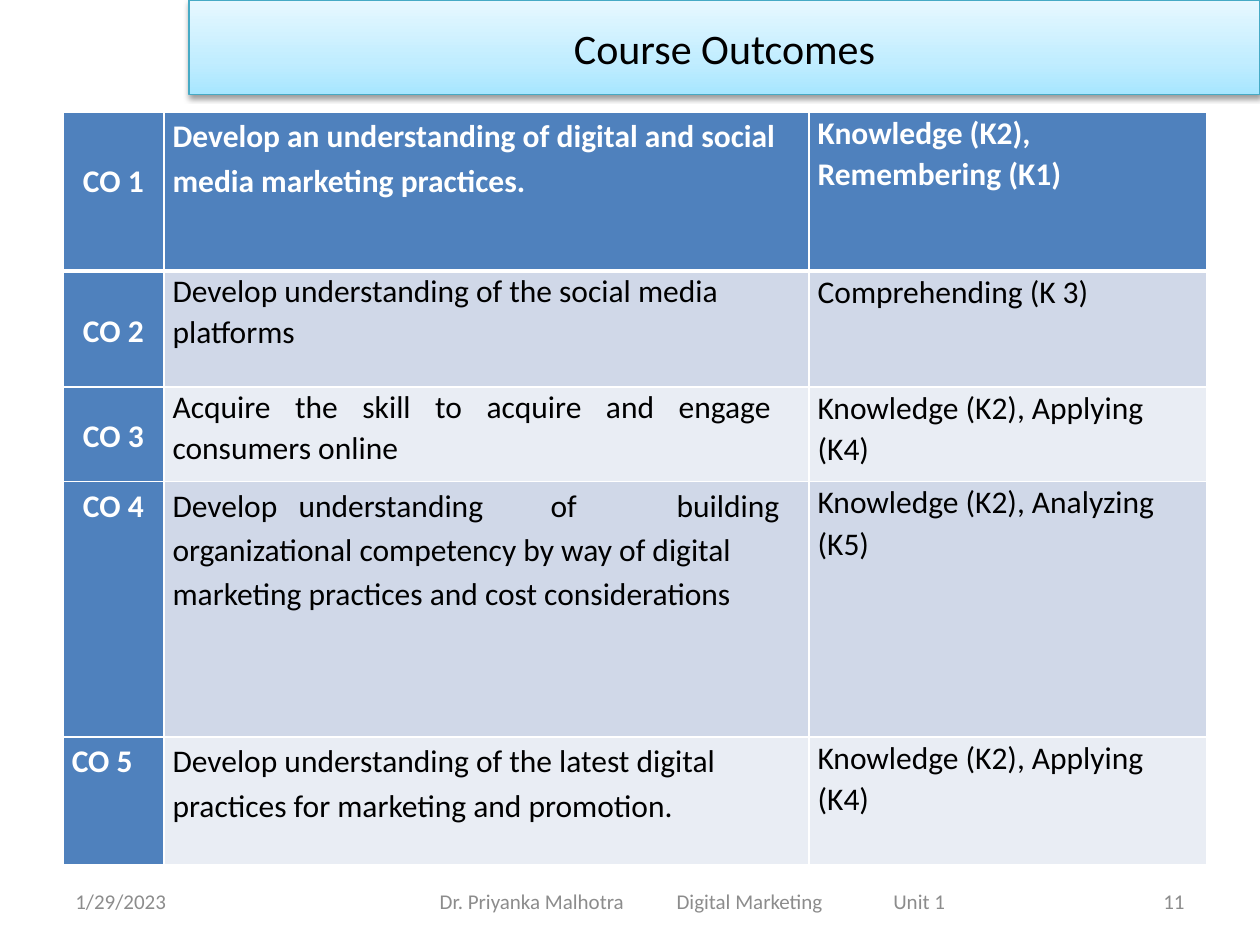
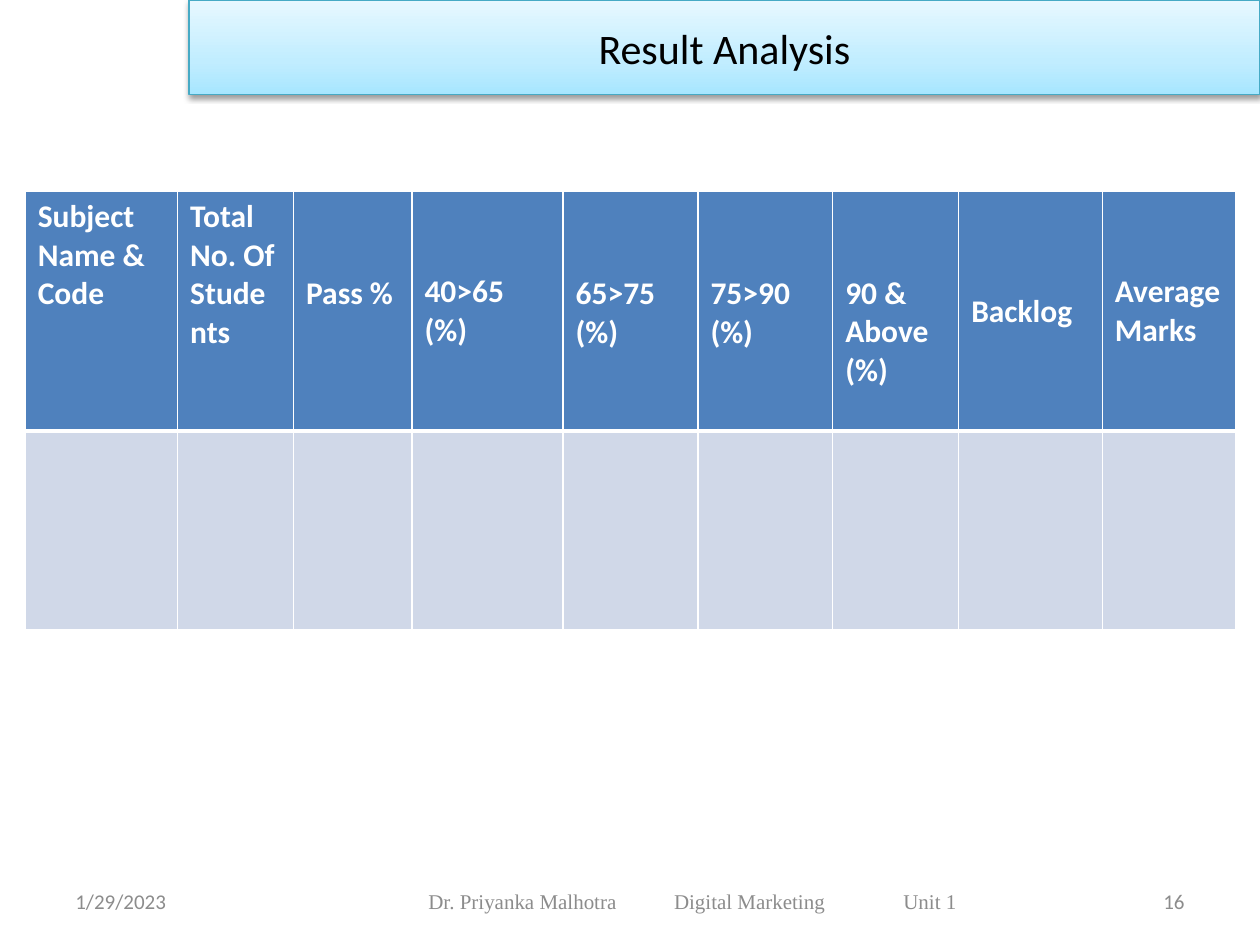
from dataclasses import dataclass
from typing import Any

from lxml.etree import SubElement
from pptx import Presentation
from pptx.dml.color import RGBColor
from pptx.enum.text import MSO_ANCHOR, PP_ALIGN
from pptx.oxml.ns import qn
from pptx.util import Pt

SCALE = 9144
COLORS = {
    "ink": "000000", "white": "FFFFFF", "grey": "8C8C8C", "edge": "46AAC5",
    "head": "4F81BD", "dark": "D0D8E8", "light": "E9EDF4",
    "low": "A7E6FF", "mid": "C1EDFF", "top": "E7F8FF",
}
LEFT, CENTER, RIGHT = PP_ALIGN.LEFT, PP_ALIGN.CENTER, PP_ALIGN.RIGHT
TOP, MIDDLE = MSO_ANCHOR.TOP, MSO_ANCHOR.MIDDLE


@dataclass(frozen=True)
class Item:
    """Text of one table cell with its layout."""
    text: str = ""
    align: PP_ALIGN = LEFT
    anchor: MSO_ANCHOR = TOP
    space: float = 1.0
    pad: tuple[int, int, int, int] = (10, 5, 10, 5)
    tabs: tuple[int, ...] = ()


@dataclass(frozen=True)
class Grid:
    """Table with its place, column widths and row heights."""
    left: int
    top: int
    cols: tuple[int, ...]
    rows: tuple[int, ...]
    items: list[list[Item]]
    side: bool


@dataclass(frozen=True)
class Foot:
    """Footer values that vary between slides."""
    number: str
    font: str
    start: int
    tabs: tuple[int, ...]


def px(size: int) -> int:
    """Turn px into EMU."""
    return size * SCALE


def tint(name: str) -> RGBColor:
    """Give the named colour."""
    return RGBColor.from_string(COLORS[name])


def assign(target: Any, values: dict[str, Any]) -> None:
    """Set every attribute in a dict."""
    for name, value in values.items():
        setattr(target, name, value)


def write(frame: Any, text: str, size: int, color: str, align: PP_ALIGN = LEFT,
          bold: bool = False, font: str = "Calibri", space: float = 1.0,
          tabs: tuple[int, ...] = ()) -> None:
    """Fill a text frame with styled text."""
    frame.text = text
    for line in frame.paragraphs:
        if tabs:
            stops = SubElement(line._p.get_or_add_pPr(), qn("a:tabLst"))
            for stop in tabs:
                SubElement(stops, qn("a:tab"), pos=str(px(stop)), algn="l")
        assign(line, {"alignment": align, "line_spacing": space})
        for run in line.runs:
            assign(run.font, {"name": font, "size": Pt(size), "bold": bold})
            run.font.color.rgb = tint(color)


def draw_title(slide: Any, text: str) -> None:
    """Format the title as the shaded band."""
    band = slide.shapes.title
    assign(band, {"left": px(150), "top": 0, "width": px(850), "height": px(75)})
    band.fill.gradient()
    band.fill.gradient_angle = 90
    stops = band._element.spPr.find(qn("a:gradFill")).find(qn("a:gsLst"))
    stops.clear()
    for place, name in ((0, "low"), (35, "mid"), (100, "top")):
        stop = SubElement(stops, qn("a:gs"), pos=str(place * 1000))
        SubElement(stop, qn("a:srgbClr"), val=COLORS[name])
    band.line.color.rgb = tint("edge")
    band.line.width = Pt(0.75)
    effect = SubElement(band._element.spPr, qn("a:effectLst"))
    shade = SubElement(effect, qn("a:outerShdw"), blurRad="40000", dist="20000",
                       dir="5400000", rotWithShape="0")
    color = SubElement(shade, qn("a:srgbClr"), val=COLORS["ink"])
    SubElement(color, qn("a:alpha"), val="38000")
    band.text_frame.vertical_anchor = MIDDLE
    write(band.text_frame, text, 24, "ink", CENTER)


def draw_foot(slide: Any, foot: Foot) -> None:
    """Draw date, course line and slide number."""
    course = "Dr. Priyanka Malhotra\tDigital Marketing\tUnit 1"
    parts = (
        (50, 233, "1/29/2023", LEFT, "Calibri", 10, ()),
        (275, 550, course, LEFT, foot.font, foot.start, foot.tabs),
        (717, 233, foot.number, RIGHT, "Calibri", 10, ()),
    )
    for left, width, text, align, font, start, tabs in parts:
        box = slide.shapes.add_textbox(px(left), px(695), px(width), px(40))
        assign(box.text_frame, {"word_wrap": True, "vertical_anchor": MIDDLE,
                                "margin_left": px(start)})
        write(box.text_frame, text, 12, "grey", align, font=font, tabs=tabs)


def draw_edge(cell: Any, row: int) -> None:
    """Draw white cell borders, thick below the first row."""
    widths = {"L": 1, "R": 1, "T": 3 if row == 1 else 1, "B": 3 if row == 0 else 1}
    for side, width in widths.items():
        line = SubElement(cell._tc.get_or_add_tcPr(), qn(f"a:ln{side}"),
                          w=str(Pt(width)))
        fill = SubElement(line, qn("a:solidFill"))
        SubElement(fill, qn("a:srgbClr"), val=COLORS["white"])


def draw_cell(cell: Any, item: Item, row: int, head: bool) -> None:
    """Draw one table cell."""
    draw_edge(cell, row)
    cell.fill.solid()
    cell.fill.fore_color.rgb = tint("head" if head else "dark" if row % 2 else "light")
    sides = ("margin_left", "margin_top", "margin_right", "margin_bottom")
    assign(cell, dict(zip(sides, map(px, item.pad))))
    cell.vertical_anchor = item.anchor
    write(cell.text_frame, item.text, 18, "white" if head else "ink", item.align,
          head, space=item.space, tabs=item.tabs)


def draw_grid(slide: Any, grid: Grid) -> None:
    """Draw a table."""
    table = slide.shapes.add_table(
        len(grid.rows), len(grid.cols), px(grid.left), px(grid.top),
        px(sum(grid.cols)), px(sum(grid.rows))).table
    assign(table, {"horz_banding": False, "first_row": True})
    for column, width in zip(table.columns, grid.cols):
        column.width = px(width)
    for line, height in zip(table.rows, grid.rows):
        line.height = px(height)
    for row, items in enumerate(grid.items):
        for col, item in enumerate(items):
            head = row == 0 or (grid.side and col == 0)
            draw_cell(table.cell(row, col), item, row, head)


SLIM = (7, 0, 7, 0)


def code(text: str, anchor: MSO_ANCHOR = TOP, align: PP_ALIGN = CENTER,
         top: int = 0) -> Item:
    """Make an outcome code cell."""
    return Item(text, align, anchor, 1.15, (7, top, 7, 0))


def goal(text: str, space: float = 1.15, align: PP_ALIGN = LEFT, right: int = 7,
         tabs: tuple[int, ...] = ()) -> Item:
    """Make an outcome cell."""
    return Item(text, align, TOP, space, (7, 0, right, 0), tabs)


def level(text: str) -> Item:
    """Make a knowledge level cell."""
    return Item(text, space=1.07, pad=SLIM)


def mark(text: str, anchor: MSO_ANCHOR = MIDDLE, top: int = 5) -> Item:
    """Make a result heading cell."""
    return Item(text, anchor=anchor, pad=(10, top, 10, 5))


GOALS = Grid(50, 89, (80, 512, 316), (126, 92, 75, 203, 101), [
    [code("CO 1", top=35),
     goal("Develop an understanding of digital and social media marketing practices."),
     level("Knowledge (K2), Remembering (K1)")],
    [code("CO 2", MIDDLE),
     goal("Develop understanding of the social media platforms", 1.05),
     level("Comprehending (K 3)")],
    [code("CO 3", MIDDLE),
     goal("Acquire the skill to acquire and engage consumers online", 1.05,
          PP_ALIGN.JUSTIFY, 30),
     level("Knowledge (K2), Applying (K4)")],
    [code("CO 4"),
     goal("Develop\tunderstanding\tof\tbuilding organizational competency by way of "
          "digital marketing practices and cost considerations",
          tabs=(100, 300, 400)),
     level("Knowledge (K2), Analyzing (K5)")],
    [code("CO 5", align=LEFT),
     goal("Develop understanding of the latest digital practices for marketing "
          "and promotion."),
     level("Knowledge (K2), Applying (K4)")],
], True)

MARKS = Grid(20, 152, (121, 92, 94, 120, 107, 107, 100, 114, 106), (190, 158), [
    [mark("Subject Name & Code", TOP), mark("Total No. Of Students", TOP),
     mark("Pass %", TOP, 66), mark("40>65 (%)"), mark("65>75 (%)", top=8),
     mark("75>90\n(%)", top=8), mark("90 & Above (%)", top=38),
     mark("Backlog"), mark("Average Marks")],
    [Item()] * 9,
], False)

PAGES = (
    ("Course Outcomes", GOALS, Foot("11", "Calibri", 74, (188, 360))),
    ("Result Analysis", MARKS, Foot("16", "Times New Roman", 65, (195, 377))),
)


def main() -> None:
    """Build and save the slides."""
    deck = Presentation()
    assign(deck, {"slide_width": px(1000), "slide_height": px(750)})
    for title, grid, foot in PAGES:
        slide = deck.slides.add_slide(deck.slide_layouts[5])
        draw_title(slide, title)
        draw_foot(slide, foot)
        draw_grid(slide, grid)
    deck.save("out.pptx")


if __name__ == "__main__":
    main()
